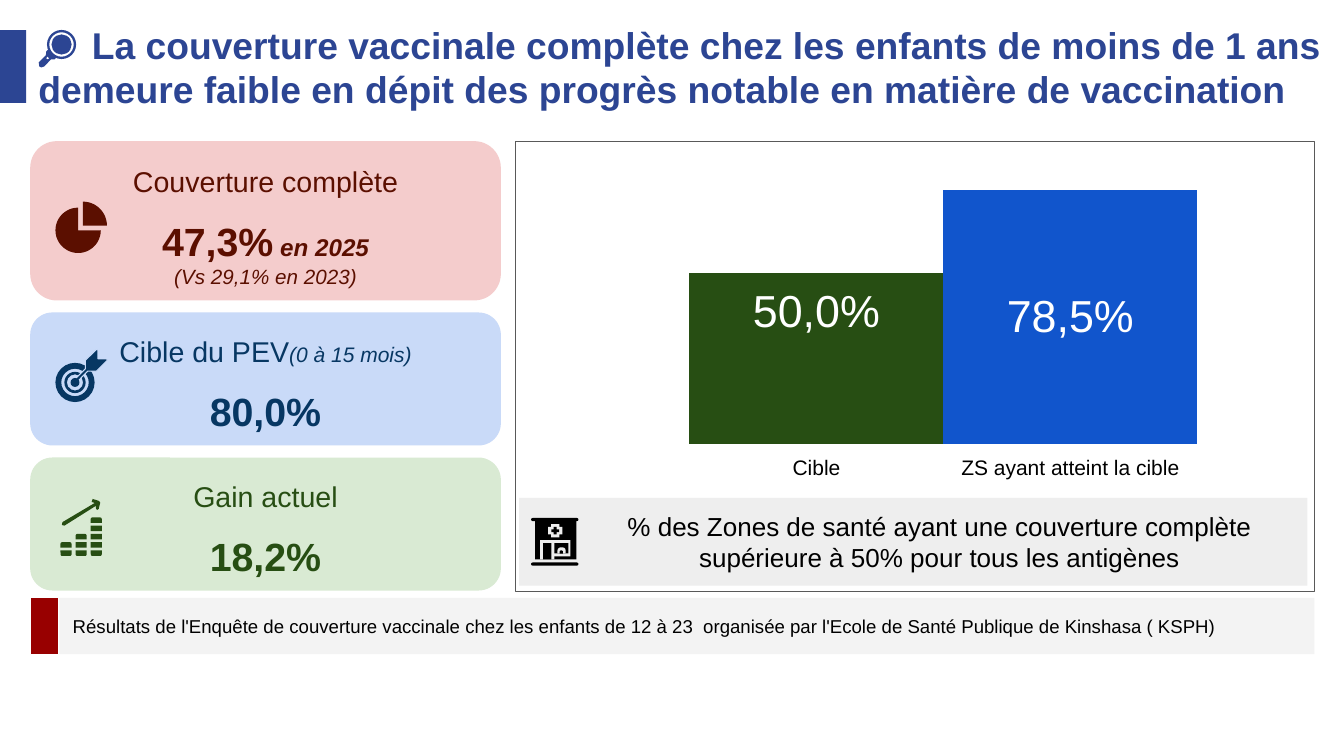
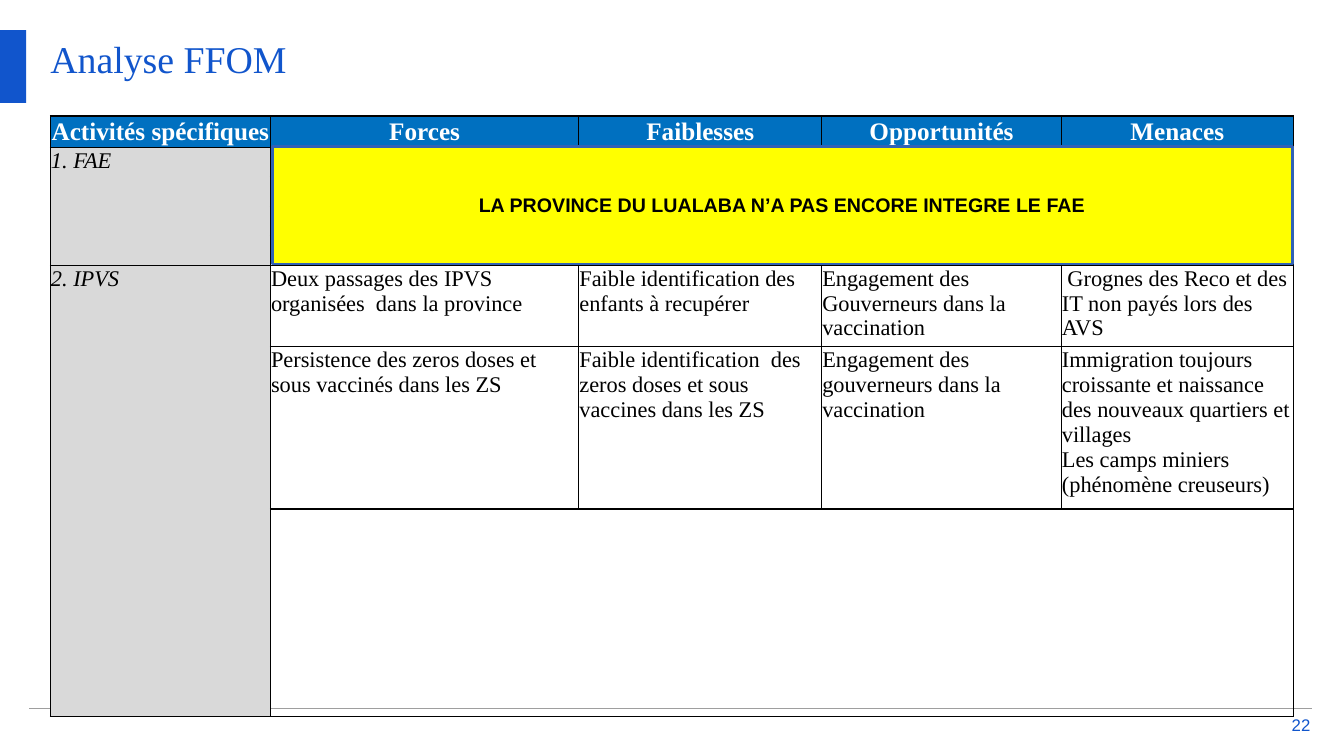
from lxml import etree
from pptx import Presentation
from pptx.dml.color import RGBColor
from pptx.enum import shapes, text
from pptx.oxml import ns
from pptx.util import Pt

KIND = shapes.MSO_SHAPE
TOP, MID = text.MSO_ANCHOR.TOP, text.MSO_ANCHOR.MIDDLE
LEFT, MIDST, RIGHT = text.PP_ALIGN.LEFT, text.PP_ALIGN.CENTER, text.PP_ALIGN.RIGHT
SANS, SERIF = "Arial", "Times New Roman"
NAVY, BLUE, BLACK, WHITE = "2C4593", "1155CC", "000000", "FFFFFF"
RED, DEEP, GREEN, GREY = "5B0F00", "073763", "274E13", "EEEEEE"
PLAIN = "{2D5ABB26-0587-4C30-8999-92F81FD0307C}"


def rgb(code):
    return RGBColor.from_string(code)


def apply(item, values):
    for key, value in values.items():
        setattr(item, key, value)


def look(size, color=BLACK, name=SANS, bold=False, italic=False):
    return {"size": Pt(size), "color": color, "name": name,
            "bold": bold, "italic": italic}


def para(*runs, align=MIDST, before=0, left=0, first=0):
    return {"runs": runs, "align": align, "before": before,
            "left": left, "first": first}


def write(box, paras, pad=0, anchor=MID):
    frame = getattr(box, "text_frame", box)
    if frame is box:
        frame.word_wrap = True
    sides = pad if isinstance(pad, tuple) else (pad,) * 4
    names = ("margin_left", "margin_top", "margin_right", "margin_bottom")
    apply(box, dict(zip(names, map(Pt, sides)), vertical_anchor=anchor))
    for n, item in enumerate(paras):
        line = frame.add_paragraph() if n else frame.paragraphs[0]
        line.alignment = item["align"]
        if item["before"]:
            line.space_before = Pt(item["before"])
        props = line._p.get_or_add_pPr()
        for key, name in (("left", "marL"), ("first", "indent")):
            if item[key]:
                props.set(name, str(Pt(item[key])))
        for words, style in item["runs"]:
            run = line.add_run()
            run.text = words
            values = dict(style)
            run.font.color.rgb = rgb(values.pop("color"))
            apply(run.font, values)


def paint(shape, fill, line=None, width=0.75):
    shape.shadow.inherit = False
    shape.fill.solid()
    shape.fill.fore_color.rgb = rgb(fill)
    if line:
        shape.line.color.rgb = rgb(line)
        shape.line.width = Pt(width)
    else:
        shape.line.fill.background()
    return shape


def block(slide, at, fill, kind=KIND.RECTANGLE, line=None, width=0.75,
          adj=None, turn=0):
    shape = slide.shapes.add_shape(kind, *map(Pt, at))
    if adj is not None:
        shape.adjustments[0] = adj
    shape.rotation = turn
    return paint(shape, fill, line, width)


def label(slide, at, paras, anchor=MID):
    write(slide.shapes.add_textbox(*map(Pt, at)).text_frame, paras, 0, anchor)


def outline(slide, rings, fill, line=None):
    build = None
    for ring in rings:
        dots = [(Pt(x), Pt(y)) for x, y in ring]
        if build is None:
            build = slide.shapes.build_freeform(*dots[0])
        else:
            build.move_to(*dots[0])
        build.add_line_segments(dots[1:], close=True)
    return paint(build.convert_to_shape(), fill, line)


def grid(slide, left, top, cols, rows):
    frame = slide.shapes.add_table(len(rows), len(cols), Pt(left), Pt(top),
                                   Pt(sum(cols)), Pt(sum(rows)))
    table = frame.table
    apply(table, {"first_row": False, "horz_banding": False})
    table._tbl.tblPr.find(ns.qn("a:tableStyleId")).text = PLAIN
    for col, width in zip(table.columns, cols):
        col.width = Pt(width)
    for row, height in zip(table.rows, rows):
        row.height = Pt(height)
    return table


def border(cell, color):
    props = cell._tc.get_or_add_tcPr()
    for side in ("a:lnL", "a:lnR", "a:lnT", "a:lnB"):
        edge = etree.SubElement(props, ns.qn(side), w=str(Pt(1)))
        fill = etree.SubElement(edge, ns.qn("a:solidFill"))
        etree.SubElement(fill, ns.qn("a:srgbClr"), val=color)


def shrink(cell, size):
    line = cell.text_frame.paragraphs[0]._p
    etree.SubElement(line, ns.qn("a:endParaRPr"), sz=str(size * 100))


def tint(cell, color):
    cell.fill.solid()
    cell.fill.fore_color.rgb = rgb(color)


def start(deck, color):
    slide = deck.slides.add_slide(deck.slide_layouts[6])
    block(slide, (0, 21.5, 18.7, 52), color)
    return slide


def racket(slide):
    block(slide, (33.6, 21.4, 20.8, 20.8), NAVY, KIND.DONUT, adj=0.08)
    block(slide, (36.8, 24.6, 14.4, 14.4), NAVY, KIND.OVAL)
    grip = [(34.6, 35.3), (33.1, 36.7), (32.8, 39.6), (27.7, 44.6),
            (28.1, 47.5), (29.5, 48.2), (31.7, 47.5), (36.4, 42.5),
            (38.9, 42.5), (40.3, 41)]
    hole = [(33.8, 40.3), (35.3, 41.8), (33.8, 42.5), (33.1, 41.8)]
    outline(slide, [grip, hole], NAVY)


def pie(slide):
    block(slide, (39.6, 148.3, 32.4, 32.4), RED, KIND.PIE)
    block(slide, (59.2, 144, 17.2, 17.2), RED, KIND.PIE_WEDGE, turn=90)


def target(slide, back):
    block(slide, (39.6, 259.2, 28, 28), DEEP, KIND.DONUT, adj=0.15)
    block(slide, (46, 265.6, 15.2, 15.2), DEEP, KIND.DONUT, adj=0.12)
    dart = [(69.1, 249.5), (61, 257.4), (61, 263.5), (52.2, 272.2),
            (54, 274), (62.6, 265.2), (68.8, 265.2), (76.7, 257.4),
            (76.3, 256.3), (69.9, 256.3), (69.9, 250)]
    outline(slide, [dart], DEEP, back)
    block(slide, (50.4, 270, 6.4, 6.4), DEEP, KIND.OVAL)


def coins(slide):
    for col, count in enumerate((2, 3, 5)):
        for row in range(count):
            end = row in (0, count - 1)
            block(slide, (43.2 + 10.8 * col, 393.2 - 5.9 * row, 7.9, 3.9),
                  GREEN, KIND.ROUND_2_SAME_RECTANGLE if end else KIND.RECTANGLE,
                  adj=0.3 if end else None, turn=0 if row else 180)
    arrow = [(66.2, 356.4), (65.5, 358.6), (67.7, 359.3), (44.6, 373),
             (44.2, 375), (46, 375.5), (68.4, 361.4), (68.4, 363),
             (69.3, 364.3), (70.5, 363.6), (71.6, 359), (70.6, 357.8)]
    outline(slide, [arrow], GREEN)


def clinic(slide):
    bar, cross, dome = KIND.ROUNDED_RECTANGLE, KIND.CROSS, KIND.ROUND_2_SAME_RECTANGLE
    for at, fill, kind, adj in (
            ((379.4, 370, 33.8, 2.2), BLACK, bar, 0.5),
            ((379.4, 401.8, 33.8, 2.2), BLACK, bar, 0.5),
            ((382.3, 370.4, 29.5, 29.2), BLACK, KIND.RECTANGLE, None),
            ((391.6, 374.3, 10, 9.5), GREY, cross, 0.22),
            ((393.8, 376.4, 5.6, 5.3), BLACK, cross, 0.32),
            ((385.9, 385.9, 21.6, 11.5), GREY, KIND.RECTANGLE, None),
            ((385.9, 385.9, 10.1, 13.7), GREY, KIND.RECTANGLE, None),
            ((388, 388, 5.8, 11.6), BLACK, KIND.RECTANGLE, None),
            ((396, 388, 10, 7.3), BLACK, KIND.RECTANGLE, None),
            ((398.2, 391, 5.8, 4.3), GREY, dome, 0.5),
            ((399.7, 393.1, 2.4, 2.3), BLACK, dome, 0.5)):
        block(slide, at, fill, kind, adj=adj)


def cards(slide):
    top = 100.8
    for high, fill, ink, head, note, rate, year, last in (
            (113.8, "F4CCCC", RED, "Couverture complète", "", "47,3%",
             " en 2025", "(Vs 29,1% en 2023)"),
            (95, "C9DAF8", DEEP, "Cible du PEV", "(0 à 15 mois)", "80,0%", "", ""),
            (95, "D9EAD3", GREEN, "Gain actuel", "", "18,2%", "", "")):
        card = block(slide, (21.6, top, 336.2, high), fill, KIND.ROUNDED_RECTANGLE)
        heads = [(head, look(20.4, ink))]
        if note:
            heads.append((note, look(15, ink, italic=True)))
        rates = [(rate, look(28.1, ink, bold=True))]
        if year:
            rates.append((year, look(17.3, ink, bold=True, italic=True)))
        paras = [para(*heads), para(*rates, before=13.3)]
        if last:
            paras.append(para((last, look(14.7, ink, italic=True))))
        write(card.text_frame, paras, 10.8, TOP)
        top += high + 8.6


def bars(slide):
    table = grid(slide, 449.3, 135.4, (43.2, 181.4, 181.4), (59.8, 121.7, 47.5))
    table.cell(0, 2).merge(table.cell(1, 2))
    for row, col, words, size, ink, fill, anchor in (
            (0, 2, "78,5%", 32, WHITE, BLUE, MID),
            (1, 1, "50,0%", 32, WHITE, GREEN, TOP),
            (2, 1, "Cible", 15, BLACK, None, TOP),
            (2, 2, "ZS ayant atteint la cible", 15, BLACK, None, TOP)):
        cell = table.cell(row, col)
        write(cell, [para((words, look(size, ink)))], 9.4, anchor)
        if fill:
            tint(cell, fill)


def cover(deck):
    slide = start(deck, NAVY)
    title = ("La couverture vaccinale complète chez les enfants de moins de 1 ans "
             "demeure faible en dépit des progrès notable en matière de vaccination")
    label(slide, (27.4, 22.3, 933, 50.4),
          [para((title, look(26.6, NAVY, bold=True)), align=LEFT, first=38.2)])
    racket(slide)
    cards(slide)
    pie(slide)
    target(slide, "C9DAF8")
    coins(slide)
    foot = block(slide, (42.5, 427, 896.4, 40.3), "F3F3F3")
    write(foot.text_frame, [para((
        "Résultats de l'Enquête de couverture vaccinale chez les enfants de 12 à 23  "
        "organisée par l'Ecole de Santé Publique de Kinshasa ( KSPH)",
        look(13.3)), align=LEFT)], 9.4)
    block(slide, (21.6, 427, 20.2, 40.3), "980000", line=WHITE)
    block(slide, (367.9, 100.8, 571, 321.8), WHITE, line="595959")
    banner = block(slide, (370.8, 355.7, 563, 62.6), GREY)
    write(banner.text_frame, [para((
        "% des Zones de santé ayant une couverture complète "
        "supérieure à 50% pour tous les antigènes",
        look(18.6)), left=37.4)], 9.4)
    clinic(slide)
    bars(slide)


def matrix(slide):
    table = grid(slide, 36, 82.8, (157.2, 220.3, 173.5, 171.2, 165.6),
                 (22.3,) + (21.1,) * 4 + (56.2, 111.6, 148))
    pad = (0.4, 0.7, 0.4, 0)
    for cell in table.iter_cells():
        border(cell, BLACK)
        write(cell, [], pad, TOP)
        shrink(cell, 14)
    for first, last in (((1, 0), (4, 0)), ((5, 0), (7, 0)), ((7, 1), (7, 4))):
        table.cell(*first).merge(table.cell(*last))
    heads = ("Activités spécifiques", "Forces", "Faiblesses", "Opportunités", "Menaces")
    for col, words in enumerate(heads):
        cell = table.cell(0, col)
        write(cell, [para((words, look(18, WHITE, SERIF, bold=True)))], pad)
        tint(cell, "0070C0")
    for row, words in ((1, "1. FAE"), (5, "2. IPVS")):
        cell = table.cell(row, 0)
        style = look(16, name=SERIF, italic=True)
        write(cell, [para((words, style), align=LEFT)], pad, TOP)
        tint(cell, "D9D9D9")
    body = (
        (("Deux passages des IPVS organisées  dans la province",),
         ("Faible identification des enfants à recupérer",),
         ("Engagement des Gouverneurs dans la vaccination",),
         (" Grognes des Reco et des IT non payés lors des AVS",)),
        (("Persistence des zeros doses et sous vaccinés dans les ZS",),
         ("Faible identification  des zeros doses et sous vaccines dans les ZS",),
         ("Engagement des gouverneurs dans la vaccination",),
         ("Immigration toujours croissante et naissance des nouveaux quartiers et villages",
          "Les camps miniers (phénomène creuseurs)")))
    for row, cells in enumerate(body, 5):
        for col, lines in enumerate(cells, 1):
            paras = [para((words, look(16, name=SERIF)), align=LEFT) for words in lines]
            write(table.cell(row, col), paras, pad, TOP)


def swot(deck):
    slide = start(deck, BLUE)
    label(slide, (36, 25.2, 888, 57.6),
          [para(("Analyse FFOM", look(27, BLUE, SERIF)), align=LEFT)], TOP)
    label(slide, (918, 511.2, 18, 13), [para(("22", look(12, BLUE)), align=RIGHT)])
    rule = slide.shapes.add_connector(shapes.MSO_CONNECTOR.STRAIGHT,
                                      Pt(21), Pt(506.2), Pt(937.5), Pt(506.2))
    rule.line.color.rgb = rgb("9E9E9E")
    rule.line.width = Pt(1)
    etree.SubElement(rule._element.spPr, ns.qn("a:effectLst"))
    matrix(slide)
    note = block(slide, (194.4, 104.4, 728.6, 84.2), "FFFF00", line="3162B5", width=2)
    write(note.text_frame, [para((
        "LA PROVINCE DU LUALABA N’A PAS ENCORE INTEGRE LE FAE",
        look(14, bold=True)))], 7.2)


def main():
    deck = Presentation()
    apply(deck, {"slide_width": Pt(960), "slide_height": Pt(540)})
    cover(deck)
    swot(deck)
    deck.save("out.pptx")


if __name__ == "__main__":
    main()
